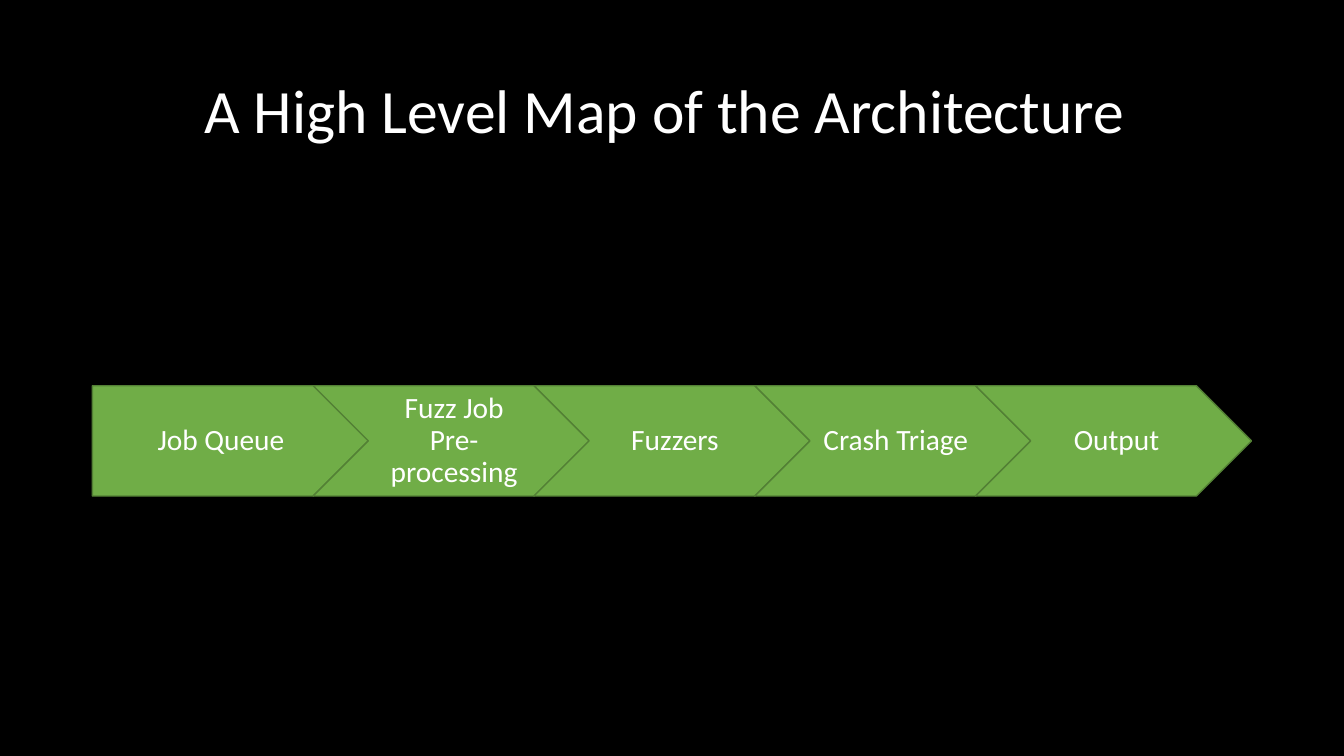
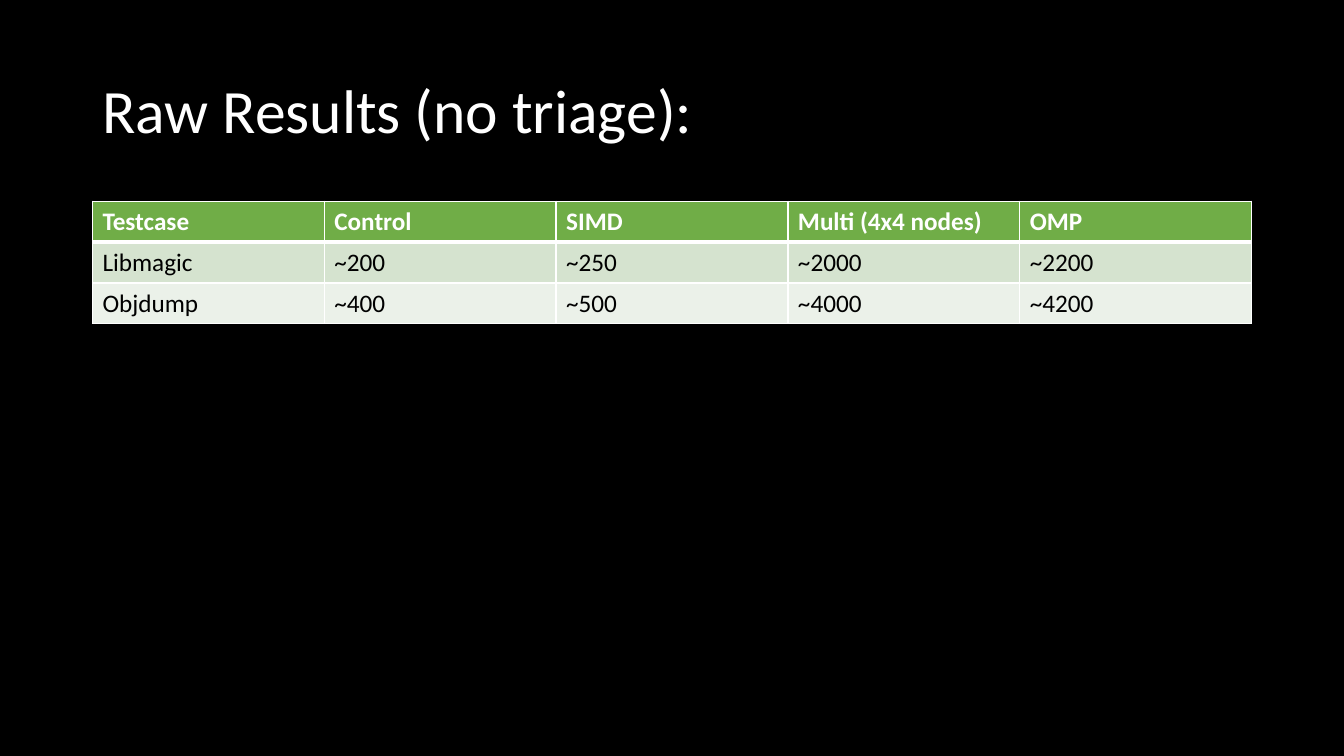
from pptx import Presentation
from pptx.dml.color import RGBColor
from pptx.enum.shapes import MSO_SHAPE as Preset
from pptx.enum.text import MSO_ANCHOR as Anchor, PP_ALIGN as Align
from pptx.oxml import parse_xml
from pptx.oxml.ns import nsdecls
from pptx.util import Cm, Pt

BLACK = RGBColor(0x00, 0x00, 0x00)
WHITE = RGBColor(0xFF, 0xFF, 0xFF)
GREEN = RGBColor(0x70, 0xAD, 0x47)
DARK_GREEN = RGBColor(0x53, 0x80, 0x35)
ROW_TINTS = (RGBColor(0xD5, 0xE3, 0xCF), RGBColor(0xEB, 0xF1, 0xE9))
FONT = "Calibri"
LEFT, CONTENT_WIDTH = 2.33, 29.21

STAGES = ("Job Queue", "Fuzz Job Pre-processing", "Fuzzers", "Crash Triage", "Output")
RESULTS = (
    ("Testcase", "Control", "SIMD", "Multi (4x4 nodes)", "OMP"),
    ("Libmagic", "~200", "~250", "~2000", "~2200"),
    ("Objdump", "~400", "~500", "~4000", "~4200"),
)


def write(frame, text, size, color=WHITE, bold=False, align=Align.LEFT, spacing=None):
    paragraph = frame.paragraphs[0]
    paragraph.alignment = align
    paragraph.line_spacing = spacing
    run = paragraph.add_run()
    run.text = text
    run.font.name = FONT
    run.font.size = Pt(size)
    run.font.bold = bold
    run.font.color.rgb = color


def add_titled_slide(deck, title, align=Align.LEFT):
    slide = deck.slides.add_slide(deck.slide_layouts[6])
    slide.background.fill.solid()
    slide.background.fill.fore_color.rgb = BLACK
    heading = slide.shapes.add_textbox(Cm(LEFT), Cm(1.01), Cm(CONTENT_WIDTH), Cm(3.68))
    frame = heading.text_frame
    frame.word_wrap = True
    frame.vertical_anchor = Anchor.MIDDLE
    write(frame, title, 44, align=align, spacing=0.9)
    return slide


def add_pipeline(slide, stages, left, top, width, height):
    point = height / 2
    pitch = (width - point) / len(stages)
    for index, stage in enumerate(stages):
        preset = Preset.CHEVRON if index else Preset.PENTAGON
        arrow = slide.shapes.add_shape(
            preset, Cm(left + index * pitch), Cm(top), Cm(pitch + point), Cm(height))
        arrow.adjustments[0] = 0.5
        arrow.shadow.inherit = False
        arrow.fill.solid()
        arrow.fill.fore_color.rgb = GREEN
        arrow.line.color.rgb = DARK_GREEN
        arrow.line.width = Pt(1)
        frame = arrow.text_frame
        frame.word_wrap = True
        frame.vertical_anchor = Anchor.MIDDLE
        frame.margin_left = Cm(0.23 if index else 0.3)
        frame.margin_right = Cm(0.08)
        frame.margin_top = frame.margin_bottom = Cm(0.15)
        write(frame, stage, 21, align=Align.CENTER, spacing=0.9)


def set_borders(cell, top, bottom):
    properties = cell._tc.get_or_add_tcPr()
    sides = (("L", 1), ("R", 1), ("T", top), ("B", bottom))
    for position, (side, width) in enumerate(sides):
        properties.insert(position, parse_xml(
            f'<a:ln{side} {nsdecls("a")} w="{Pt(width)}"><a:solidFill>'
            f'<a:srgbClr val="{WHITE}"/></a:solidFill></a:ln{side}>'))


def add_results(slide, rows, left, top, width, height):
    table = slide.shapes.add_table(
        len(rows), len(rows[0]), Cm(left), Cm(top), Cm(width), Cm(height)).table
    for row, values in enumerate(rows):
        is_header = row == 0
        for column, value in enumerate(values):
            cell = table.cell(row, column)
            cell.fill.solid()
            cell.fill.fore_color.rgb = GREEN if is_header else ROW_TINTS[(row - 1) % 2]
            set_borders(cell, top=3 if row == 1 else 1, bottom=3 if is_header else 1)
            write(cell.text_frame, value, 18, WHITE if is_header else BLACK, is_header)


def main():
    deck = Presentation()
    deck.slide_width, deck.slide_height = Cm(33.87), Cm(19.05)
    architecture = add_titled_slide(
        deck, "A High Level Map of the Architecture ", Align.CENTER)
    add_pipeline(architecture, STAGES, LEFT, 9.72, CONTENT_WIDTH, 2.78)
    results = add_titled_slide(deck, "Raw Results (no triage):")
    add_results(results, RESULTS, LEFT, 5.07, CONTENT_WIDTH, 3.09)
    deck.save("out.pptx")


if __name__ == "__main__":
    main()
